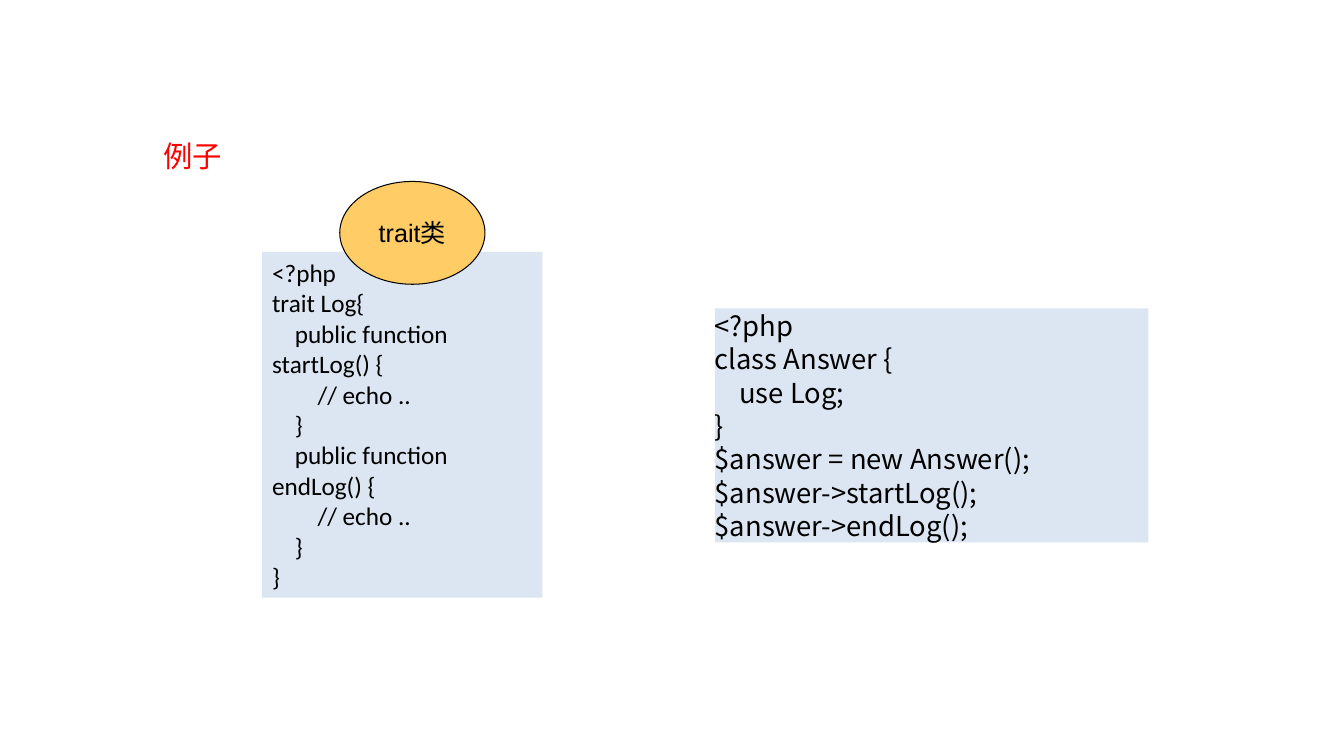
from dataclasses import dataclass

from lxml import etree
from pptx import Presentation
from pptx.dml.color import RGBColor
from pptx.enum.shapes import MSO_SHAPE
from pptx.enum.text import MSO_ANCHOR, MSO_AUTO_SIZE, PP_ALIGN
from pptx.oxml.ns import qn
from pptx.util import Inches, Pt

RECTANGLE, OVAL = MSO_SHAPE.RECTANGLE, MSO_SHAPE.OVAL
TOP, MIDDLE = MSO_ANCHOR.TOP, MSO_ANCHOR.MIDDLE
LEFT, CENTER = PP_ALIGN.LEFT, PP_ALIGN.CENTER
NO_AUTOFIT = MSO_AUTO_SIZE.NONE
TITLE_ONLY = 5


@dataclass(frozen=True)
class Theme:
    heading: RGBColor = RGBColor(0xFF, 0x00, 0x00)
    text: RGBColor = RGBColor(0x00, 0x00, 0x00)
    code_fill: RGBColor = RGBColor(0xDC, 0xE6, 0xF2)
    label_fill: RGBColor = RGBColor(0xFF, 0xCC, 0x66)
    cjk_font: str = "Noto Sans CJK SC"
    code_font: str = "Calibri"
    label_font: str = "Arial"
    heading_size: float = 21
    text_size: float = 18
    usage_size: float = 19.6


THEME = Theme()

TRAIT_CODE = """<?php
trait Log{
    public function startLog() {
        // echo ..
    }
    public function endLog() {
        // echo ..
    }
}"""

USAGE_CODE = """<?php
class Answer {
    use Log;
}
$answer = new Answer();
$answer->startLog();
$answer->endLog();"""


def write_text(shape, text, font, size, color, align=LEFT, anchor=TOP,
               inset=None, line_height=None):
    """Fill a shape with one paragraph per line; inset None keeps the default."""
    frame = shape.text_frame
    frame.auto_size = NO_AUTOFIT
    frame.vertical_anchor = anchor
    if inset is not None:
        frame.margin_left = frame.margin_right = Inches(inset)
        frame.margin_top = frame.margin_bottom = Inches(inset)
    frame.text = text
    for paragraph in frame.paragraphs:
        paragraph.alignment = align
        if line_height:
            paragraph.line_spacing = Pt(line_height)
        paragraph.font.name = font
        paragraph.font.size = Pt(size)
        paragraph.font.color.rgb = color
        for run in paragraph.runs:
            set_east_asian_font(run)


def set_east_asian_font(run):
    properties = run.font._element
    etree.SubElement(properties, qn("a:ea")).set("typeface", THEME.cjk_font)


def add_filled_shape(slide, kind, left, top, width, height, fill):
    shape = slide.shapes.add_shape(
        kind, Inches(left), Inches(top), Inches(width), Inches(height))
    shape.shadow.inherit = False
    shape.fill.solid()
    shape.fill.fore_color.rgb = fill
    shape.line.fill.background()
    return shape


def place_heading(slide, text):
    heading = slide.shapes.title
    heading.left, heading.top = Inches(1.62), Inches(1.37)
    heading.width, heading.height = Inches(3.22), Inches(0.35)
    write_text(heading, text, THEME.cjk_font, THEME.heading_size,
               THEME.heading, inset=0, line_height=25.2)


def add_code_panel(slide, code, left, top, width, height, font, size, **layout):
    panel = add_filled_shape(slide, RECTANGLE, left, top, width, height,
                             THEME.code_fill)
    write_text(panel, code, font, size, THEME.text, **layout)


def add_oval_label(slide, text, left, top, width, height):
    label = add_filled_shape(slide, OVAL, left, top, width, height,
                             THEME.label_fill)
    label.line.color.rgb = THEME.text
    label.line.width = Pt(0.75)
    write_text(label, text, THEME.label_font, THEME.text_size, THEME.text,
               align=CENTER, anchor=MIDDLE)
    label.text_frame.word_wrap = False


def main():
    presentation = Presentation()
    presentation.slide_width = Inches(13.33)
    presentation.slide_height = Inches(7.5)
    slide = presentation.slides.add_slide(presentation.slide_layouts[TITLE_ONLY])

    place_heading(slide, "例子")
    add_code_panel(slide, TRAIT_CODE, 2.6, 2.5, 2.78, 3.43,
                   THEME.code_font, THEME.text_size, line_height=21.75)
    add_code_panel(slide, USAGE_CODE, 7.09, 3.06, 4.3, 2.32,
                   THEME.cjk_font, THEME.usage_size, inset=0, line_height=23.85)
    add_oval_label(slide, "trait类", 3.37, 1.8, 1.44, 1.02)

    presentation.save("out.pptx")


if __name__ == "__main__":
    main()
